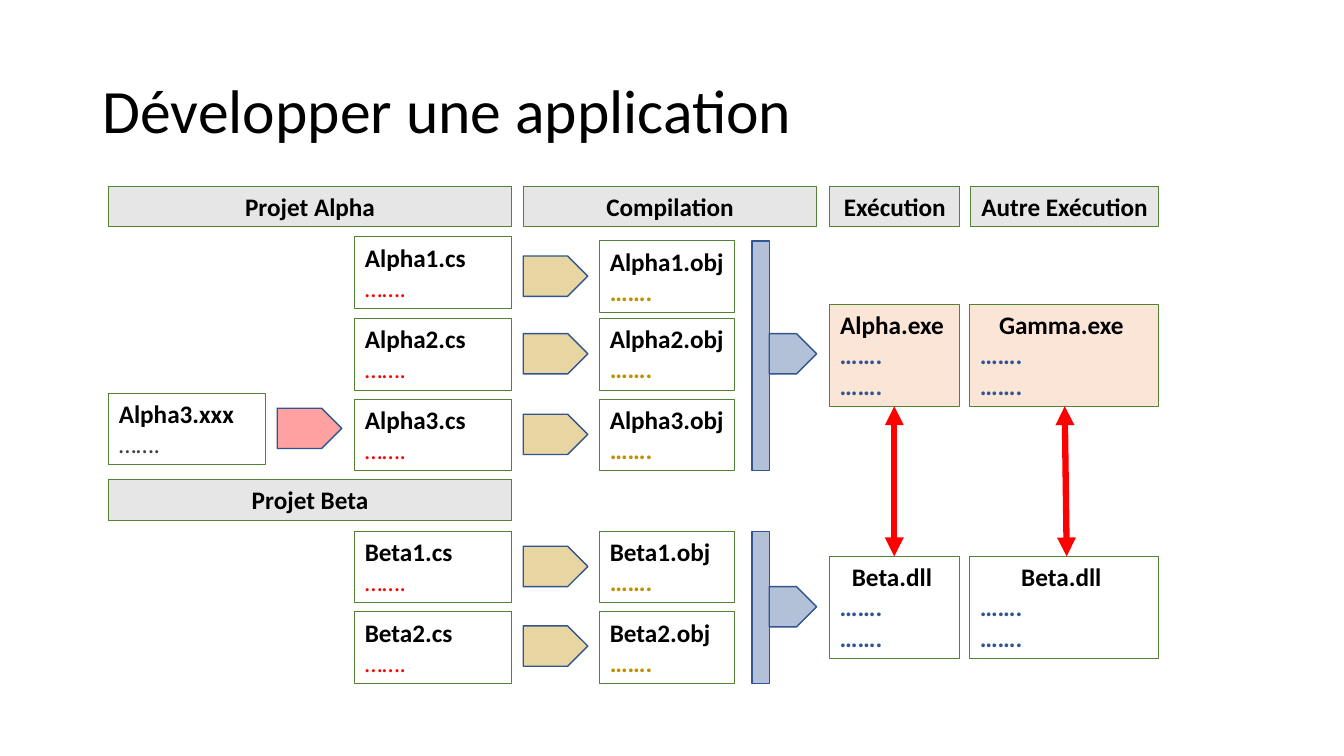
from pptx import Presentation
from pptx import util as u
from pptx.dml.color import RGBColor
from pptx.enum import shapes, text
from pptx.oxml.ns import qn
from lxml import etree

PX = 9144
COLORS = {
    "black": "000000", "red": "FF0000", "gold": "BF9000", "blue": "2F5597",
    "gray": "404040", "header": "E7E6E6", "program": "FBE5D6",
    "green": "548235", "navy": "325491",
}
DOTS = "……."
RECT = shapes.MSO_SHAPE.RECTANGLE
PLATE = shapes.MSO_SHAPE.PENTAGON

deck = Presentation()
deck.slide_width, deck.slide_height = 1333 * PX, 750 * PX
page = deck.slides.add_slide(deck.slide_layouts[6])


def draw(kind, place, fill=None, outline="green", weight=0.75, alpha=None):
    shape = page.shapes.add_shape(kind, *(value * PX for value in place))
    shape.shadow.inherit = False
    shape.line.color.rgb = RGBColor.from_string(COLORS[outline])
    shape.line.width = u.Pt(weight)
    if fill:
        shape.fill.solid()
        shape.fill.fore_color.rgb = RGBColor.from_string(COLORS[fill])
    else:
        shape.fill.background()
    if alpha:
        tint = shape._element.spPr.find(qn("a:solidFill"))[0]
        etree.SubElement(tint, qn("a:alpha")).set("val", str(alpha * 1000))
    return shape


def write(shape, words, dots=0, color="black", bold=True, centered=False, wrap=True):
    frame = shape.text_frame
    frame.word_wrap = wrap
    frame.auto_size = text.MSO_AUTO_SIZE.SHAPE_TO_FIT_TEXT
    frame.vertical_anchor = text.MSO_ANCHOR.TOP
    for index, line in enumerate([words] + [DOTS] * dots):
        para = frame.add_paragraph() if index else frame.paragraphs[0]
        middle = centered and index == 0
        para.alignment = text.PP_ALIGN.CENTER if middle else text.PP_ALIGN.LEFT
        span = para.add_run()
        span.text = line
        span.font.name = "Calibri"
        span.font.size = u.Pt(18)
        span.font.bold = bold if index else True
        span.font.color.rgb = RGBColor.from_string(COLORS[color if index else "black"])


title = page.shapes.add_textbox(92 * PX, 40 * PX, 1150 * PX, 145 * PX)
title.text_frame.word_wrap = True
title.text_frame.vertical_anchor = text.MSO_ANCHOR.MIDDLE
para = title.text_frame.paragraphs[0]
para.line_spacing = 0.9
span = para.add_run()
span.text = "Développer une application"
span.font.name = "Calibri"
span.font.size = u.Pt(44)
span.font.color.rgb = RGBColor.from_string(COLORS["black"])

headers = [
    ("Projet Alpha", 108, 185, 399), ("Compilation", 519, 185, 291),
    ("Exécution", 823, 185, 129), ("Autre Exécution", 963, 185, 186),
    ("Projet Beta", 108, 476, 399),
]
for label, left, top, width in headers:
    write(draw(RECT, (left, top, width, 40), "header"), label, centered=True)

sources = [
    ("Alpha1", 235, 239, 254), ("Alpha2", 316, 316, 331), ("Alpha3", 396, 396, 411),
    ("Beta1", 527, 527, 542), ("Beta2", 607, 607, 621),
]
for name, source_top, object_top, arrow_top in sources:
    write(draw(RECT, (352, source_top, 155, 71)), name + ".cs", 1, "red", bold=False)
    draw(PLATE, (519, arrow_top, 64, 40), "gold", "navy", 1, 37)
    write(draw(RECT, (595, object_top, 134, 71)), name + ".obj", 1, "gold",
          wrap=name.startswith("Beta"))

write(draw(RECT, (108, 390, 155, 71)), "Alpha3.xxx", 1, "gray", bold=False)
draw(PLATE, (275, 405, 64, 40), "red", "navy", 1, 37)

for bar_top, bar_height, arrow_top in [(239, 228, 331), (527, 151, 582)]:
    draw(PLATE, (763, arrow_top, 47, 40), "blue", "navy", 1, 37)
    draw(RECT, (746, bar_top, 17, bar_height), "blue", "navy", 1, 37)

programs = [
    ("Alpha.exe ", 823, 302, 129, "program"), ("Gamma.exe ", 962, 302, 187, "program"),
    ("Beta.dll ", 823, 552, 129, None), ("Beta.dll ", 962, 552, 187, None),
]
for label, left, top, width, fill in programs:
    write(draw(RECT, (left, top, width, 101), fill), label, 2, "blue",
          centered=True, wrap=label != "Alpha.exe ")

for start, end in [(887, 887), (1056, 1058)]:
    link = page.shapes.add_connector(
        shapes.MSO_CONNECTOR.STRAIGHT, start * PX, 403 * PX, end * PX, 552 * PX)
    link.line.color.rgb = RGBColor.from_string(COLORS["red"])
    link.line.width = u.Pt(4.5)
    properties = link._element.spPr
    for tip in ("a:headEnd", "a:tailEnd"):
        etree.SubElement(properties.find(qn("a:ln")), qn(tip)).set("type", "triangle")
    etree.SubElement(properties, qn("a:effectLst"))

deck.save("out.pptx")
